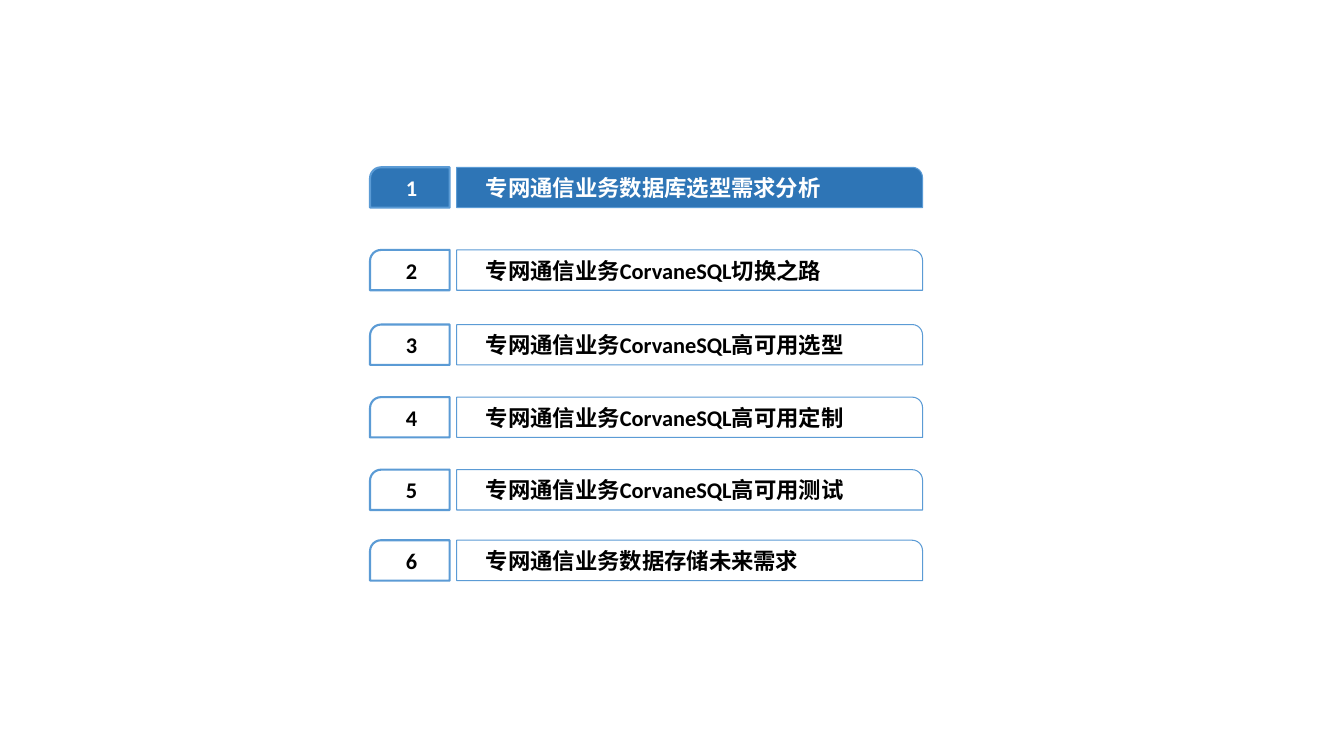
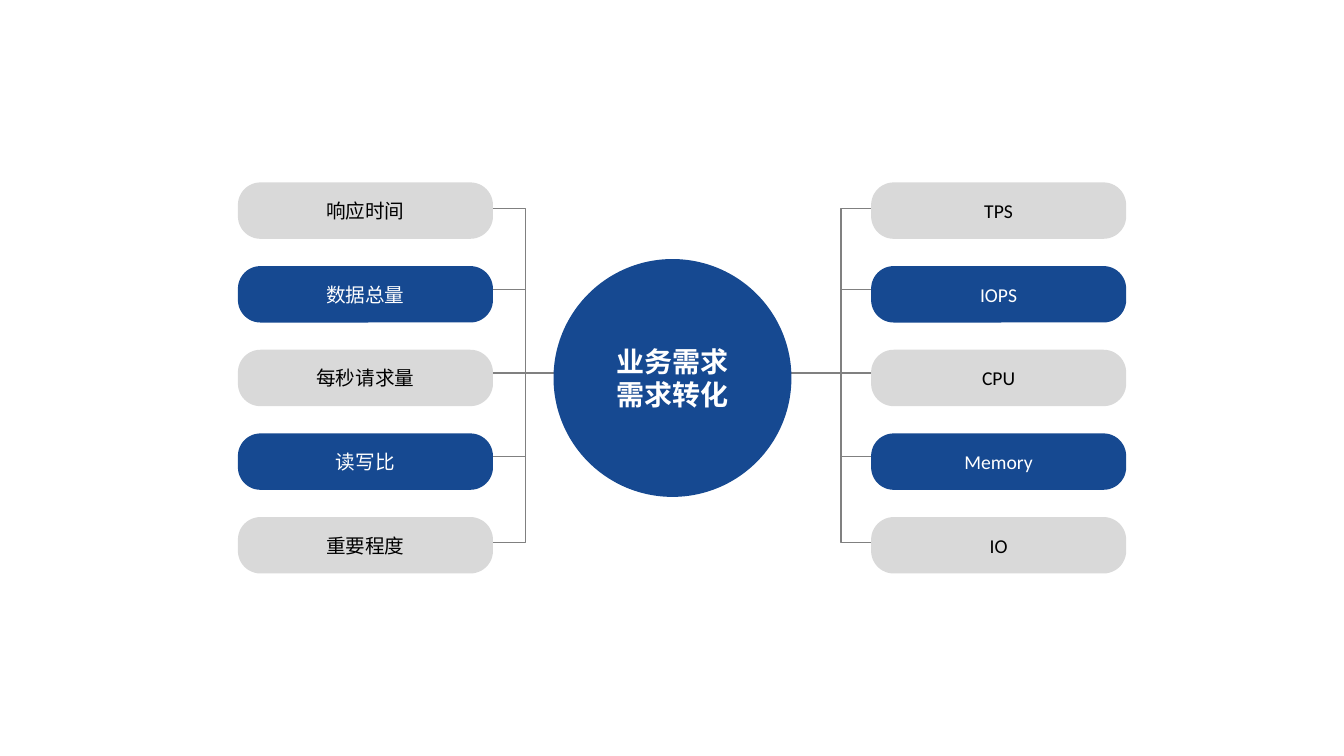
import lxml.etree
import pptx
import pptx.dml.color
import pptx.enum.shapes
import pptx.enum.text
import pptx.oxml.ns
import pptx.util

Inches = pptx.util.Inches
Pt = pptx.util.Pt
SHAPES = pptx.enum.shapes.MSO_SHAPE
ALIGN = pptx.enum.text.PP_ALIGN
qn = pptx.oxml.ns.qn

COLORS = {
    "active": "2E75B6",
    "outline": "5B9BD5",
    "navy": "164991",
    "gray": "D9D9D9",
    "branch": "808080",
    "white": "FFFFFF",
    "black": "000000",
}
FONT = "Calibri"


def rgb(name):
    return pptx.dml.color.RGBColor.from_string(COLORS[name])


def add_box(page, kind, place, text, fill, color, size, bold=False, outline=None,
            line_width=0.75, radius=None, align=ALIGN.CENTER, indent=0, wrap=True):
    """Add a filled shape with formatted text, one paragraph per line."""
    box = page.shapes.add_shape(kind, *[Inches(length) for length in place])
    box.shadow.inherit = False
    box.fill.solid()
    box.fill.fore_color.rgb = rgb(fill)
    if outline:
        box.line.color.rgb = rgb(outline)
        box.line.width = Pt(line_width)
    else:
        box.line.fill.background()
    if radius is not None:
        box.adjustments[0] = radius
    frame = box.text_frame
    frame.word_wrap = wrap
    frame.vertical_anchor = pptx.enum.text.MSO_ANCHOR.MIDDLE
    frame.text = text
    for para in frame.paragraphs:
        para.alignment = align
        if indent:
            para._p.get_or_add_pPr().set("marL", str(Inches(indent)))
        for span in para.runs:
            span.font.name = FONT
            span.font.size = Pt(size)
            span.font.bold = bold
            span.font.color.rgb = rgb(color)
    return box


deck = pptx.Presentation()
deck.slide_width = Inches(13.33)
deck.slide_height = Inches(7.5)
blank = deck.slide_layouts[6]

# Slide 1: agenda with the first entry highlighted
page = deck.slides.add_slide(blank)
agenda = [
    (1.66, "专网通信业务数据库选型需求分析"),
    (2.48, "专网通信业务CorvaneSQL切换之路"),
    (3.22, "专网通信业务CorvaneSQL高可用选型"),
    (3.94, "专网通信业务CorvaneSQL高可用定制"),
    (4.66, "专网通信业务CorvaneSQL高可用测试"),
    (5.36, "专网通信业务数据存储未来需求"),
]
for number, (top, title) in enumerate(agenda, start=1):
    fill, color = ("active", "white") if number == 1 else ("white", "black")
    style = dict(fill=fill, color=color, size=16, bold=True, outline="outline")
    add_box(page, SHAPES.ROUND_1_RECTANGLE, (4.53, top, 4.62, 0.4), title,
            radius=0.255, align=ALIGN.LEFT, indent=0.19, **style)
    number_box = add_box(page, SHAPES.ROUND_1_RECTANGLE, (3.67, top, 0.79, 0.4),
                         str(number), radius=0.271, line_width=1.5, **style)
    number_box._element.spPr.find(qn("a:xfrm")).set("flipH", "1")

# Slide 2: business needs on the left turned into technical ones on the right
page = deck.slides.add_slide(blank)
pitch = 0.83
# Each side: pill left, bracket end, bracket spine, pill edge, line end at hub, labels
sides = [
    (2.36, 4.82, 5.21, 4.89, 6.14,
     ["响应时间", "数据总量", "每秒请求量", "读写比", "重要程度"]),
    (8.64, 8.74, 8.34, 8.66, 7.4,
     ["TPS", "IOPS", "CPU", "Memory", "IO"]),
]
for pill_left, bracket_end, spine, edge, hub, labels in sides:
    # Bracket joining the first and last pills
    builder = page.shapes.build_freeform(Inches(bracket_end), Inches(2.07))
    corners = [(spine, 2.07), (spine, 5.38), (bracket_end, 5.38)]
    builder.add_line_segments([(Inches(x), Inches(y)) for x, y in corners], close=False)
    bracket = builder.convert_to_shape()
    bracket.shadow.inherit = False
    bracket.fill.background()
    bracket.line.color.rgb = rgb("branch")
    bracket.line.width = Pt(1)

    # Branches of the inner pills; the middle one reaches the hub
    for row, end in enumerate([spine, hub, spine]):
        y = Inches(2.87 + row * pitch)
        branch = page.shapes.add_connector(
            pptx.enum.shapes.MSO_CONNECTOR.STRAIGHT, Inches(edge), y, Inches(end), y)
        branch.line.color.rgb = rgb("branch")
        branch.line.width = Pt(1)
        lxml.etree.SubElement(branch._element.spPr, qn("a:effectLst"))

    # Pills in alternating colours
    for row, label in enumerate(labels):
        fill, color = ("navy", "white") if row % 2 else ("gray", "black")
        add_box(page, SHAPES.ROUNDED_RECTANGLE, (pill_left, 1.81 + row * pitch, 2.53, 0.56),
                label, fill=fill, color=color, size=14, radius=0.401)

# Hub
add_box(page, SHAPES.OVAL, (5.49, 2.57, 2.36, 2.36), "业务需求\n需求转化",
        fill="navy", color="white", size=20, bold=True, wrap=False)

deck.save("out.pptx")
